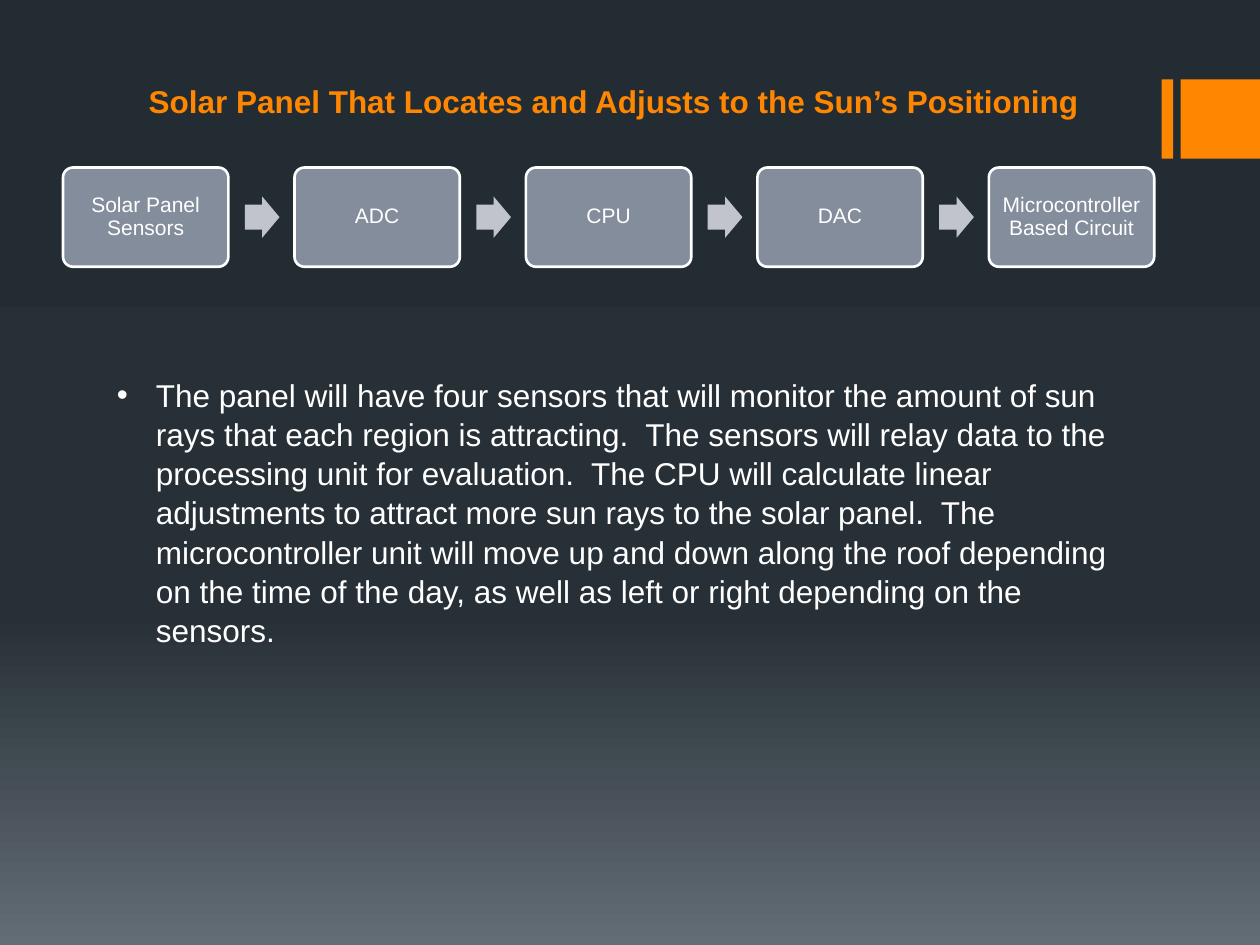
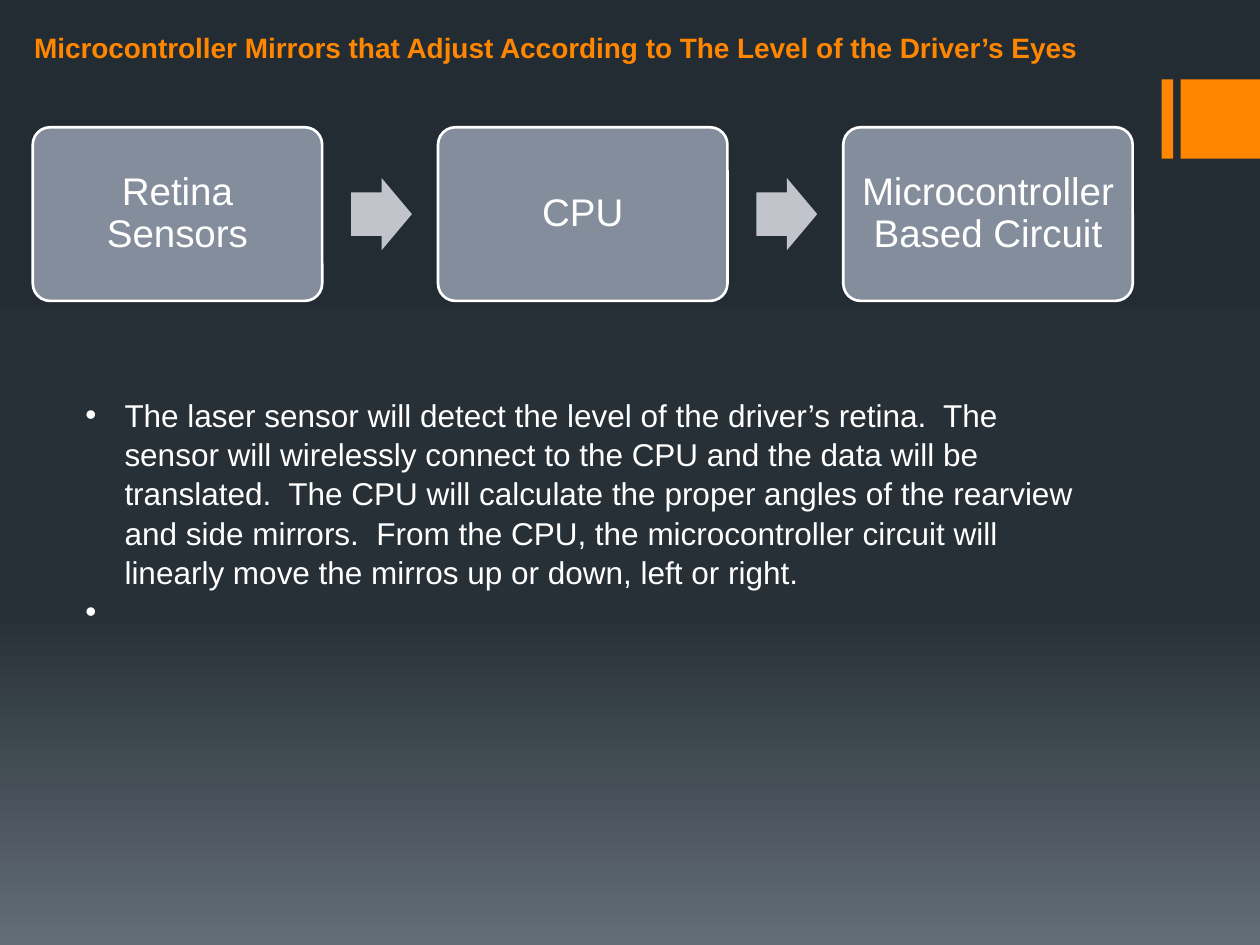
from copy import deepcopy
from lxml import etree
from pptx import Presentation
from pptx.dml.color import RGBColor
from pptx.enum.shapes import MSO_SHAPE as SHAPE
from pptx.enum.text import MSO_ANCHOR as ANCHOR, MSO_AUTO_SIZE as AUTO, PP_ALIGN as ALIGN
from pptx.oxml.ns import qn
from pptx.util import Inches, Pt

ORANGE, WHITE, BOX, ARROW = "FF8600", "FFFFFF", "838D9B", "C1C5CB"
GRADIENT = [(0, "242C33"), (0.65, "273037"), (1, "636D76")]
FONT = "Arial"


def paint(item, color):
    """Colour a font, or fill a shape without outline or shadow."""
    if hasattr(item, "shadow"):
        item.shadow.inherit = False
        item.fill.solid()
        item.fill.fore_color.rgb = RGBColor.from_string(color)
        item.line.fill.background()
    else:
        item.color.rgb = RGBColor.from_string(color)


def style(p, size, color, bold=False, align=ALIGN.LEFT):
    p.font.name, p.font.size, p.font.bold = FONT, Pt(size), bold
    paint(p.font, color)
    p.alignment = align


# Content: title box, flow row (left, top, total width), text box
slides = [
    dict(
        title="Solar Panel That Locates and Adjusts to the Sun’s Positioning",
        title_at=(1.08, 0.58, 8, 0.42), title_size=18,
        steps=["Solar Panel Sensors", "ADC", "CPU", "DAC", "Microcontroller Based Circuit"],
        row=(0.5, 1.33, 8.66), step_size=12, inset=0.05,
        body_at=(0.83, 2.92, 8.33, 2.52),
        body=["The panel will have four sensors that will monitor the amount of sun rays "
              "that each region is attracting.  The sensors will relay data to the "
              "processing unit for evaluation.  The CPU will calculate linear adjustments "
              "to attract more sun rays to the solar panel.  The microcontroller unit will "
              "move up and down along the roof depending on the time of the day, as well "
              "as left or right depending on the sensors."]),
    dict(
        title="Microcontroller Mirrors that Adjust According to The Level of the Driver’s Eyes",
        title_at=(0.17, 0.03, 9.58, 0.53), title_size=16,
        steps=["Retina Sensors", "CPU", "Microcontroller Based Circuit"],
        row=(0.26, 1.01, 8.73), step_size=22, inset=0.09,
        body_at=(0.58, 3.08, 8.08, 1.92),
        body=["The laser sensor will detect the level of the driver’s retina.  The sensor "
              "will wirelessly connect to the CPU and the data will be translated.  The "
              "CPU will calculate the proper angles of the rearview and side mirrors.  "
              "From the CPU, the microcontroller circuit will linearly move the mirros up "
              "or down, left or right.",
              " "]),
]

prs = Presentation()
prs.slide_width, prs.slide_height = Inches(10), Inches(7.5)

# Shared background: vertical gradient with three stops
fill = prs.slide_master.background.fill
fill.gradient()
fill.gradient_angle = 270
last = fill.gradient_stops[1]._gs
last.addprevious(deepcopy(last))
for stop, (position, color) in zip(fill.gradient_stops, GRADIENT):
    stop.position = position
    stop.color.rgb = RGBColor.from_string(color)

for content in slides:
    s = prs.slides.add_slide(prs.slide_layouts[5])

    # Orange bands at the right edge
    for left, width in [(9.22, 0.09), (9.37, 0.63)]:
        band = s.shapes.add_shape(SHAPE.RECTANGLE, Inches(left), Inches(0.63),
                                  Inches(width), Inches(0.63))
        paint(band, ORANGE)

    # Title
    title = s.shapes.title
    title.left, title.top, title.width, title.height = map(Inches, content["title_at"])
    tf = title.text_frame
    tf.text = content["title"]
    tf.auto_size, tf.vertical_anchor = AUTO.NONE, ANCHOR.BOTTOM
    style(tf.paragraphs[0], content["title_size"], ORANGE, bold=True)

    # Flow row: every measure follows from the box width, gaps are 0.4 of it
    left, top, total = content["row"]
    steps = content["steps"]
    w = total / (1 + 1.4 * (len(steps) - 1))
    h = 0.6 * w
    for i, step in enumerate(steps):
        x = left + 1.4 * w * i
        box = s.shapes.add_shape(SHAPE.ROUNDED_RECTANGLE, Inches(x), Inches(top),
                                 Inches(w), Inches(h))
        box.adjustments[0] = 0.1
        paint(box, BOX)
        box.line.color.rgb = RGBColor.from_string(WHITE)
        box.line.width = Pt(1.5)
        tf = box.text_frame
        tf.text = step
        tf.word_wrap, tf.vertical_anchor = True, ANCHOR.MIDDLE
        tf.margin_left = tf.margin_right = Inches(content["inset"])
        tf.margin_top = tf.margin_bottom = Inches(content["inset"])
        p = tf.paragraphs[0]
        style(p, content["step_size"], WHITE, align=ALIGN.CENTER)
        p.line_spacing = 0.9

        if i < len(steps) - 1:
            arrow_h = 0.25 * w
            arrow = s.shapes.add_shape(SHAPE.RIGHT_ARROW, Inches(x + 1.1 * w),
                                       Inches(top + (h - arrow_h) / 2),
                                       Inches(0.21 * w), Inches(arrow_h))
            arrow.adjustments[0], arrow.adjustments[1] = 0.6, 0.5
            paint(arrow, ARROW)

    # Bulleted description
    tf = s.shapes.add_textbox(*map(Inches, content["body_at"])).text_frame
    tf.word_wrap, tf.auto_size = True, AUTO.SHAPE_TO_FIT_TEXT
    for i, text in enumerate(content["body"]):
        p = tf.add_paragraph() if i else tf.paragraphs[0]
        p.text = text
        style(p, 18, WHITE)
        p.line_spacing = 1.04
        pPr = p._p.get_or_add_pPr()
        pPr.set("marL", str(Inches(0.31)))
        pPr.set("indent", str(-Inches(0.31)))
        bullet_font = etree.Element(qn("a:buFont"), typeface=FONT)
        bullet = etree.Element(qn("a:buChar"), char="•")
        pPr.find(qn("a:defRPr")).addprevious(bullet_font)
        bullet_font.addnext(bullet)

prs.save("out.pptx")
